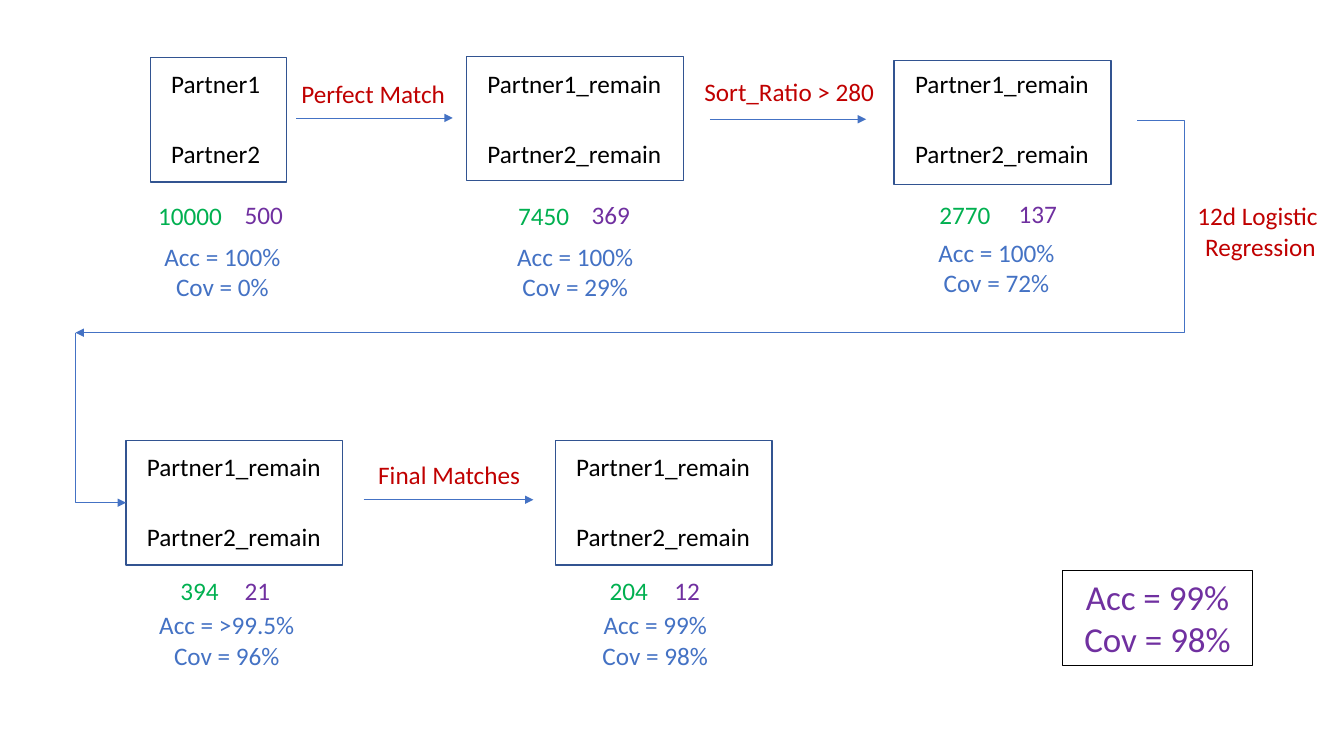
from lxml.etree import SubElement
from pptx import Presentation
from pptx.dml.color import RGBColor
from pptx.enum.shapes import MSO_CONNECTOR, MSO_SHAPE
from pptx.enum.text import MSO_ANCHOR, MSO_AUTO_SIZE, PP_ALIGN
from pptx.oxml.ns import qn
from pptx.util import Inches, Pt

WIDE, HIGH = Inches(13.333), Inches(7.5)
COLS, ROWS = 160, 90
BLACK, GREEN, RED = "000000", "00B050", "C00000"
BLUE, NAVY, PURPLE = "4472C4", "325491", "7030A0"
LINE, PAIR = 4.8, 8.5
BOX = 14.8

STAGES = [
    (17.9, 6.85, 16.2, "", 7.55,
     ("10000", 17.65, 23.3), ("500", 27.95, 23.15),
     ("Acc = 100%\nCov = 0%", 18.25, 28.1, 16.45)),
    (55.55, 6.7, 25.8, "_remain", 7.55,
     ("7450", 60.5, 23.3), ("369", 69.25, 23.15),
     ("Acc = 100%\nCov = 29%", 60.25, 28.1, 16.45)),
    (106.45, 7.2, 25.8, "_remain", 7.55,
     ("2770", 110.65, 23.15), ("137", 120.1, 23.05),
     ("Acc = 100%\nCov = 72%", 110.4, 27.6, 16.45)),
    (15, 52.45, 25.8, "_remain", 53.15,
     ("394", 20.3, 67.9), ("21", 27.95, 67.9),
     ("Acc = >99.5%\nCov = 96%", 17.65, 72, 18.7)),
    (66.1, 52.45, 25.8, "_remain", 53.15,
     ("204", 71.4, 67.9), ("12", 79.1, 67.9),
     ("Acc = 99%\nCov = 98%", 70.45, 72, 15.1)),
]

STEPS = [
    ("Perfect Match", 34.7, 8.75, 19.7, LINE, PP_ALIGN.LEFT),
    ("Sort_Ratio > 280 ", 82.55, 8.5, 23.5, LINE, PP_ALIGN.CENTER),
    ("12d Logistic \nRegression", 141.25, 23.3, 17.6, PAIR, PP_ALIGN.CENTER),
    ("Final Matches", 43.7, 54.1, 19.55, LINE, PP_ALIGN.CENTER),
]

ARROWS = [(35.3, 53.9, 14.05), (84.5, 103.1, 14.2), (43.3, 63.5, 59.5)]


def col(n):
    return round(WIDE * n / COLS)


def row(n):
    return round(HIGH * n / ROWS)


def place(x, y, w, h):
    return col(x), row(y), col(w), row(h)


def tint(code):
    return RGBColor.from_string(code)


def write(frame, text, size, color, align):
    frame.text = text
    for para in frame.paragraphs:
        para.alignment = align
        for run in para.runs:
            run.font.name = "Calibri"
            run.font.size = Pt(size)
            run.font.color.rgb = tint(color)


def label(slide, text, x, y, w, h, color, align=PP_ALIGN.LEFT):
    frame = slide.shapes.add_textbox(*place(x, y, w, h)).text_frame
    frame.word_wrap = False
    frame.auto_size = MSO_AUTO_SIZE.SHAPE_TO_FIT_TEXT
    write(frame, text, 18, color, align)


def frame_box(slide, x, y, w, h, color, weight):
    box = slide.shapes.add_shape(MSO_SHAPE.RECTANGLE, *place(x, y, w, h))
    box.shadow.inherit = False
    box.fill.background()
    box.line.color.rgb = tint(color)
    box.line.width = Pt(weight)
    return box


def arrow(slide, x1, y1, x2, y2, bend=None):
    kind = MSO_CONNECTOR.STRAIGHT if bend is None else MSO_CONNECTOR.ELBOW
    link = slide.shapes.add_connector(kind, col(x1), row(y1), col(x2), row(y2))
    link.line.color.rgb = tint(BLUE)
    link.line.width = Pt(0.5)
    props = link.element.spPr
    SubElement(props.find(qn("a:ln")), qn("a:tailEnd"), type="triangle")
    SubElement(props, qn("a:effectLst"))
    if bend is not None:
        guides = props.find(qn("a:prstGeom")).find(qn("a:avLst"))
        SubElement(guides, qn("a:gd"), name="adj1", fmla=f"val {bend}")


def stage(slide, x, y, w, tail, top, left, right, score):
    frame_box(slide, x, y, w, BOX, NAVY, 1)
    for i in range(2):
        label(slide, f"Partner{i + 1}{tail}", x + 1.3, top + 8.35 * i,
              w - 2.6, LINE, BLACK)
    for (text, cx, cy), color in ((left, GREEN), (right, PURPLE)):
        label(slide, text, cx, cy, 2.5 + 1.52 * len(text), LINE, color)
    label(slide, *score, PAIR, BLUE, PP_ALIGN.CENTER)


def result(slide):
    box = frame_box(slide, 126.5, 67.9, 22.6, 11.3, BLACK, 0.75)
    box.text_frame.vertical_anchor = MSO_ANCHOR.MIDDLE
    write(box.text_frame, "Acc = 99%\nCov = 98%", 25, PURPLE, PP_ALIGN.CENTER)


def main():
    deck = Presentation()
    deck.slide_width, deck.slide_height = WIDE, HIGH
    slide = deck.slides.add_slide(deck.slide_layouts[6])
    for item in STAGES:
        stage(slide, *item)
    for text, x, y, w, h, align in STEPS:
        label(slide, text, x, y, w, h, RED, align)
    for x1, x2, y in ARROWS:
        arrow(slide, x1, y, x2, y)
    arrow(slide, 135.4, 14.3, 9, 39.6, -4400)
    arrow(slide, 9, 39.6, 15, 59.85, 0)
    result(slide)
    deck.save("out.pptx")


if __name__ == "__main__":
    main()
